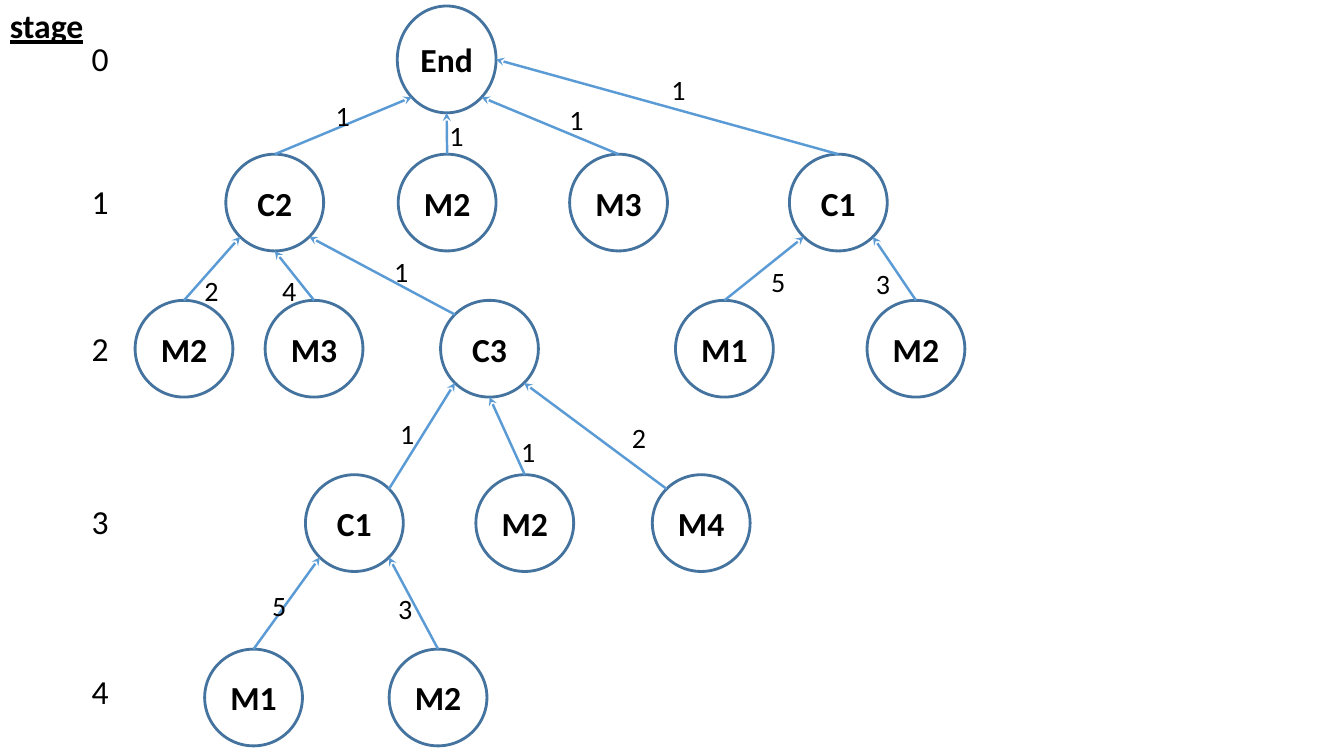
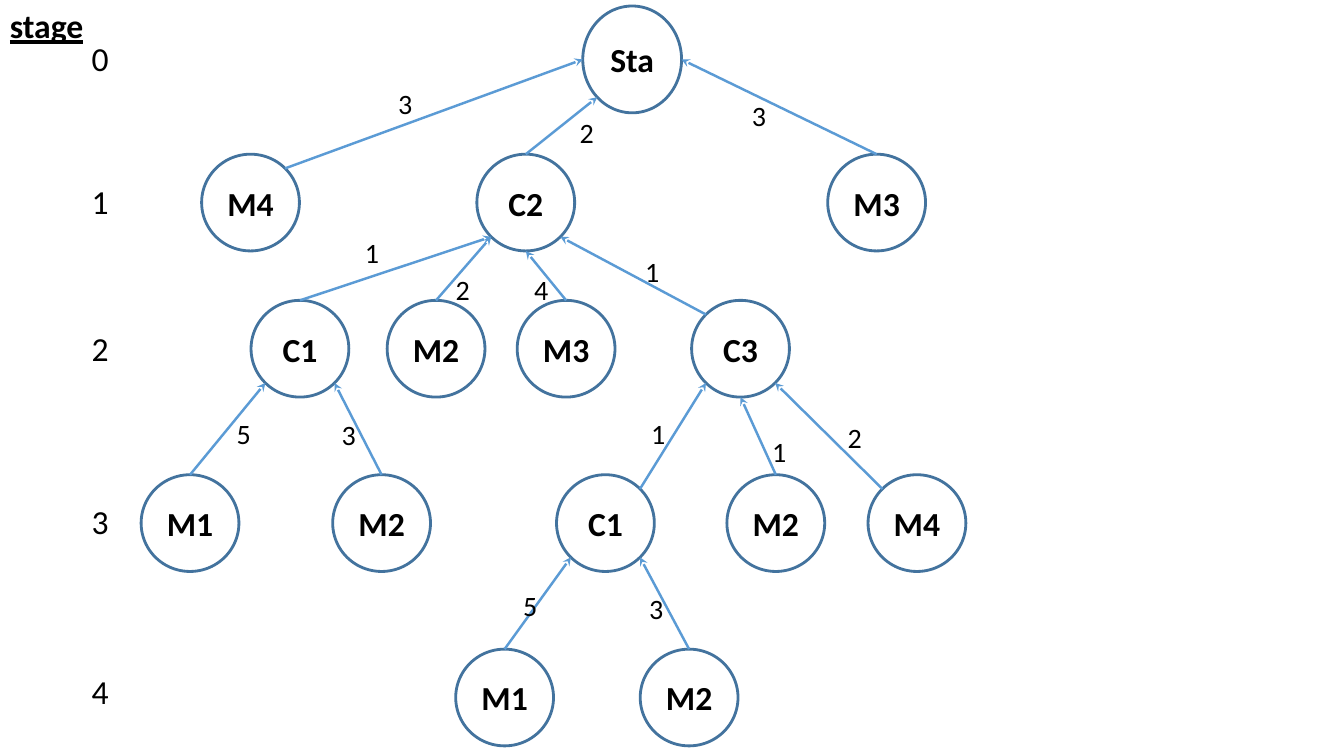
from dataclasses import dataclass
from math import cos, radians, sin

from lxml import etree
from pptx import Presentation
from pptx.dml.color import RGBColor
from pptx.enum.shapes import MSO_CONNECTOR, MSO_SHAPE
from pptx.enum.text import MSO_ANCHOR, MSO_AUTO_SIZE, PP_ALIGN
from pptx.oxml.ns import qn
from pptx.util import Inches, Pt

BLACK = RGBColor(0x00, 0x00, 0x00)
OUTLINE_BLUE = RGBColor(0x43, 0x73, 0x9E)
ARROW_BLUE = RGBColor(0x5B, 0x9B, 0xD5)

ELLIPSE = MSO_SHAPE.OVAL
STRAIGHT = MSO_CONNECTOR.STRAIGHT
MIDDLE = MSO_ANCHOR.MIDDLE
FIT_TEXT = MSO_AUTO_SIZE.SHAPE_TO_FIT_TEXT
LEFT_ALIGN, CENTER = PP_ALIGN.LEFT, PP_ALIGN.CENTER

FONT = "Calibri"
STAGE_TOPS = (0.06, 1.53, 2.98, 4.71, 6.44)
STAGE_LABEL_TOPS = (0.33, 1.75, 3.2, 4.92, 6.61)
ROOT_SIZE = (0.98, 1.06)
NODE_SIZE = (0.97, 0.96)

# Connection sites of an ellipse, counted counterclockwise from the top
(TOP, TOP_LEFT, LEFT, BOTTOM_LEFT,
 BOTTOM, BOTTOM_RIGHT, RIGHT, TOP_RIGHT) = range(8)


@dataclass
class Arrow:
    """The weighted arrow from a node up to its parent."""
    weight: str
    left: float
    top: float
    parent_site: int
    child_site: int = TOP


@dataclass
class Node:
    label: str
    left: float
    arrow: Arrow = None
    children: tuple = ()


def site_point(ellipse, site):
    angle = radians(90 + 45 * site)
    x = ellipse.left + ellipse.width / 2 * (1 + cos(angle))
    y = ellipse.top + ellipse.height / 2 * (1 - sin(angle))
    return round(x), round(y)


class TreeDeck:
    def __init__(self):
        self.presentation = Presentation()
        self.presentation.slide_width = Inches(13.33)
        self.presentation.slide_height = Inches(7.5)
        self.shapes = None

    def add_tree_slide(self, root):
        layout = self.presentation.slide_layouts[6]
        self.shapes = self.presentation.slides.add_slide(layout).shapes
        self.add_stage_column()
        self.add_branch(root)

    def style(self, paragraph, size, bold=False, underline=False, align=LEFT_ALIGN):
        paragraph.alignment = align
        font = paragraph.font
        font.name, font.size = FONT, Pt(size)
        font.bold, font.underline = bold, underline
        font.color.rgb = BLACK

    def add_label(self, text, left, top, width, height, size, wrap=True, **style):
        label = self.shapes.add_textbox(
            Inches(left), Inches(top), Inches(width), Inches(height))
        frame = label.text_frame
        frame.word_wrap = wrap
        frame.auto_size = FIT_TEXT
        frame.text = text
        self.style(frame.paragraphs[0], size, **style)

    def add_stage_column(self):
        self.add_label("stage", 0, 0, 0.94, 0.5, 24, wrap=False,
                       bold=True, underline=True)
        for stage, top in enumerate(STAGE_LABEL_TOPS):
            self.add_label(str(stage), 0.81, top, 0.32, 0.5, 24, align=CENTER)

    def add_node(self, label, left, stage):
        width, height = NODE_SIZE if stage else ROOT_SIZE
        circle = self.shapes.add_shape(
            ELLIPSE, Inches(left), Inches(STAGE_TOPS[stage]),
            Inches(width), Inches(height))
        circle.shadow.inherit = False
        circle.fill.background()
        circle.line.color.rgb = OUTLINE_BLUE
        circle.line.width = Pt(2)
        frame = circle.text_frame
        frame.margin_left = frame.margin_right = Inches(0.04)
        frame.margin_top = frame.margin_bottom = Inches(0.05)
        frame.vertical_anchor = MIDDLE
        frame.text = label
        self.style(frame.paragraphs[0], 24, bold=True, align=CENTER)
        return circle

    def add_arrow(self, child, parent, arrow):
        """Draw an arrow glued to both circles, with its weight beside it."""
        link = self.shapes.add_connector(
            STRAIGHT, *site_point(child, arrow.child_site),
            *site_point(parent, arrow.parent_site))
        link.line.color.rgb = ARROW_BLUE
        link.line.width = Pt(1.75)
        element = link.element
        etree.SubElement(element.spPr.find(qn("a:ln")), qn("a:tailEnd"), type="stealth")
        etree.SubElement(element.spPr, qn("a:effectLst"))
        glue = element.find(".//" + qn("p:cNvCxnSpPr"))
        for tag, circle, site in (("a:stCxn", child, arrow.child_site),
                                  ("a:endCxn", parent, arrow.parent_site)):
            etree.SubElement(glue, qn(tag), id=str(circle.shape_id), idx=str(site))
        self.add_label(arrow.weight, arrow.left, arrow.top, 0.3, 0.44, 20)

    def add_branch(self, node, stage=0):
        """Draw a node and, one stage lower, everything that leads to it."""
        circle = self.add_node(node.label, node.left, stage)
        for child in node.children:
            child_circle = self.add_branch(child, stage + 1)
            self.add_arrow(child_circle, circle, child.arrow)
        return circle


def c3_branch(left, m4_left, m4_weight_left):
    """The C3 subtree, which both trees hold at stage 2."""
    c1 = Node("C1", left - 1.34, Arrow("1", left - 0.5, 4.08, BOTTOM_LEFT, TOP_RIGHT), (
        Node("M1", left - 2.34, Arrow("5", left - 1.77, 5.79, BOTTOM_LEFT)),
        Node("M2", left - 0.51, Arrow("3", left - 0.52, 5.82, BOTTOM_RIGHT)),
    ))
    return Node("C3", left, Arrow("1", left - 0.56, 2.48, BOTTOM_RIGHT, TOP_LEFT), (
        c1,
        Node("M2", left + 0.35, Arrow("1", left + 0.7, 4.26, BOTTOM)),
        Node("M4", m4_left, Arrow("2", m4_weight_left, 4.12, BOTTOM_RIGHT, TOP_LEFT)),
    ))


END_TREE = Node("End", 3.94, children=(
    Node("C2", 2.24, Arrow("1", 3.23, 0.93, BOTTOM_LEFT), (
        Node("M2", 1.34, Arrow("2", 1.93, 2.66, BOTTOM_LEFT)),
        Node("M3", 2.63, Arrow("4", 2.7, 2.66, BOTTOM)),
        c3_branch(4.37, m4_left=6.47, m4_weight_left=6.17),
    )),
    Node("M2", 3.95, Arrow("1", 4.36, 1.13, BOTTOM)),
    Node("M3", 5.65, Arrow("1", 5.55, 0.97, BOTTOM_RIGHT)),
    Node("C1", 7.83, Arrow("1", 6.56, 0.67, RIGHT), (
        Node("M1", 6.7, Arrow("5", 7.55, 2.57, BOTTOM_LEFT)),
        Node("M2", 8.6, Arrow("3", 8.59, 2.59, BOTTOM_RIGHT)),
    )),
))

STA_TREE = Node("Sta", 5.78, children=(
    Node("M4", 2, Arrow("3", 3.85, 0.81, LEFT, TOP_RIGHT)),
    Node("C2", 4.73, Arrow("2", 5.65, 1.1, BOTTOM_LEFT), (
        Node("C1", 2.49, Arrow("1", 3.52, 2.29, BOTTOM_LEFT), (
            Node("M1", 1.4, Arrow("5", 2.25, 4.08, BOTTOM_LEFT)),
            Node("M2", 3.3, Arrow("3", 3.29, 4.09, BOTTOM_RIGHT)),
        )),
        Node("M2", 3.84, Arrow("2", 4.42, 2.65, BOTTOM_LEFT)),
        Node("M3", 5.13, Arrow("4", 5.2, 2.65, BOTTOM)),
        c3_branch(6.86, m4_left=8.61, m4_weight_left=8.31),
    )),
    Node("M3", 8.21, Arrow("3", 7.36, 0.93, RIGHT)),
))


def main():
    deck = TreeDeck()
    for root in (END_TREE, STA_TREE):
        deck.add_tree_slide(root)
    deck.presentation.save("out.pptx")


if __name__ == "__main__":
    main()
